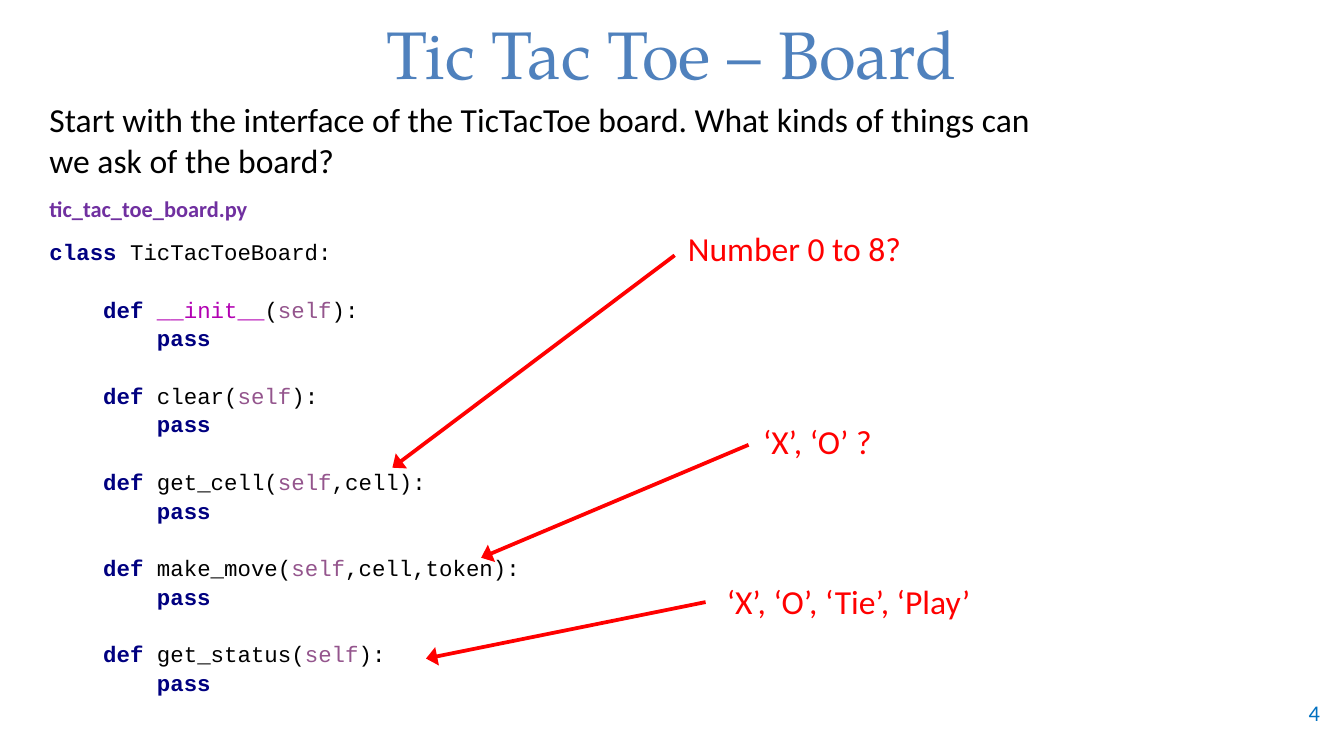
from dataclasses import dataclass

from lxml.etree import SubElement
from pptx import Presentation
from pptx.dml.color import RGBColor
from pptx.enum.shapes import MSO_CONNECTOR as Connector
from pptx.enum.text import MSO_ANCHOR as Anchor, PP_ALIGN as Align
from pptx.oxml.ns import qn
from pptx.slide import Slide
from pptx.util import Inches, Pt

COLORS = {
    "title": "4F81BD",
    "number": "0070C0",
    "text": "000000",
    "file": "7030A0",
    "note": "FF0000",
    "keyword": "000080",
    "magic": "B200B2",
    "self": "94558D",
}
CODE_PITCH = Pt(15.4)
INDENT = " " * 4


@dataclass
class Label:
    text: str
    left: float
    top: float
    width: float
    height: float
    size: int
    color: str
    font: str = "Calibri"
    bold: bool = False
    align: Align = Align.LEFT
    anchor: Anchor = Anchor.TOP


@dataclass
class Arrow:
    start: tuple[float, float]
    end: tuple[float, float]


@dataclass
class Method:
    name: str
    arguments: str = ""
    color: str = "text"


LABELS = [
    Label("Tic Tac Toe – Board", 0.08, 0.06, 9.83, 0.67, 36, "title",
          font="TeX Gyre Pagella", align=Align.CENTER, anchor=Anchor.MIDDLE),
    Label("4", 9.25, 5.15, 0.67, 0.3, 12, "number",
          align=Align.RIGHT, anchor=Anchor.MIDDLE),
    Label("Start with the interface of the TicTacToe board. "
          "What kinds of things can we ask of the board?",
          0.27, 0.69, 7.66, 0.71, 18, "text"),
    Label("tic_tac_toe_board.py", 0.27, 1.4, 2.43, 0.3, 12, "file", bold=True),
    Label("Number 0 to 8?", 5.02, 1.65, 2.48, 0.4, 18, "note"),
    Label("‘X’, ‘O’ ?", 5.58, 3.08, 1.23, 0.4, 18, "note"),
    Label("‘X’, ‘O’, ‘Tie’, ‘Play’", 5.31, 4.27, 2.19, 0.4, 18, "note"),
]
ARROWS = [
    Arrow((5.02, 1.9), (2.92, 3.48)),
    Arrow((5.57, 3.31), (3.58, 4.15)),
    Arrow((5.25, 4.48), (3.17, 4.9)),
]
METHODS = [
    Method("__init__", color="magic"),
    Method("clear"),
    Method("get_cell", ",cell"),
    Method("make_move", ",cell,token"),
    Method("get_status"),
]


def add_span(para, text: str, size: int, color: str,
             font: str, bold: bool = False) -> None:
    span = para.add_run()
    span.text = text
    span.font.size = Pt(size)
    span.font.name = font
    span.font.bold = bold
    span.font.color.rgb = RGBColor.from_string(COLORS[color])


def add_frame(page: Slide, left: float, top: float,
              width: float, height: float):
    box = page.shapes.add_textbox(
        Inches(left), Inches(top), Inches(width), Inches(height))
    box.text_frame.word_wrap = True
    return box.text_frame


def draw_label(page: Slide, label: Label) -> None:
    frame = add_frame(page, label.left, label.top, label.width, label.height)
    frame.vertical_anchor = label.anchor
    para = frame.paragraphs[0]
    para.alignment = label.align
    add_span(para, label.text, label.size, label.color, label.font, label.bold)


def draw_arrow(page: Slide, arrow: Arrow) -> None:
    line = page.shapes.add_connector(
        Connector.STRAIGHT, *map(Inches, arrow.start + arrow.end))
    line.line.color.rgb = RGBColor.from_string(COLORS["note"])
    line.line.width = Pt(2)
    SubElement(line.line._get_or_add_ln(), qn("a:tailEnd"),
               type="triangle", w="lg", len="med")
    SubElement(line._element.spPr, qn("a:effectLst"))


def add_code_line(para, *tokens: tuple[str, str]) -> None:
    para.line_spacing = CODE_PITCH
    for text, color in tokens:
        add_span(para, text, 12, color, "Courier New", color == "keyword")


def draw_code(page: Slide, methods: list[Method]) -> None:
    frame = add_frame(page, 0.27, 1.71, 5, 3.56)
    add_code_line(frame.paragraphs[0],
                  ("class ", "keyword"), ("TicTacToeBoard:", "text"))
    for method in methods:
        # One line of space separates the methods
        header = frame.add_paragraph()
        header.space_before = CODE_PITCH
        add_code_line(header, (INDENT + "def ", "keyword"),
                      (method.name, method.color), ("(", "text"),
                      ("self", "self"), (method.arguments + "):", "text"))
        add_code_line(frame.add_paragraph(), (INDENT * 2 + "pass", "keyword"))


def main() -> None:
    # Widescreen page, 16 to 9
    deck = Presentation()
    deck.slide_width = Inches(10)
    deck.slide_height = deck.slide_width * 9 // 16
    page = deck.slides.add_slide(deck.slide_layouts[6])

    # Class listing
    draw_code(page, METHODS)

    # Title, texts and questions
    for label in LABELS:
        draw_label(page, label)

    # Arrows from the questions to the code
    for arrow in ARROWS:
        draw_arrow(page, arrow)

    deck.save("out.pptx")


if __name__ == "__main__":
    main()
